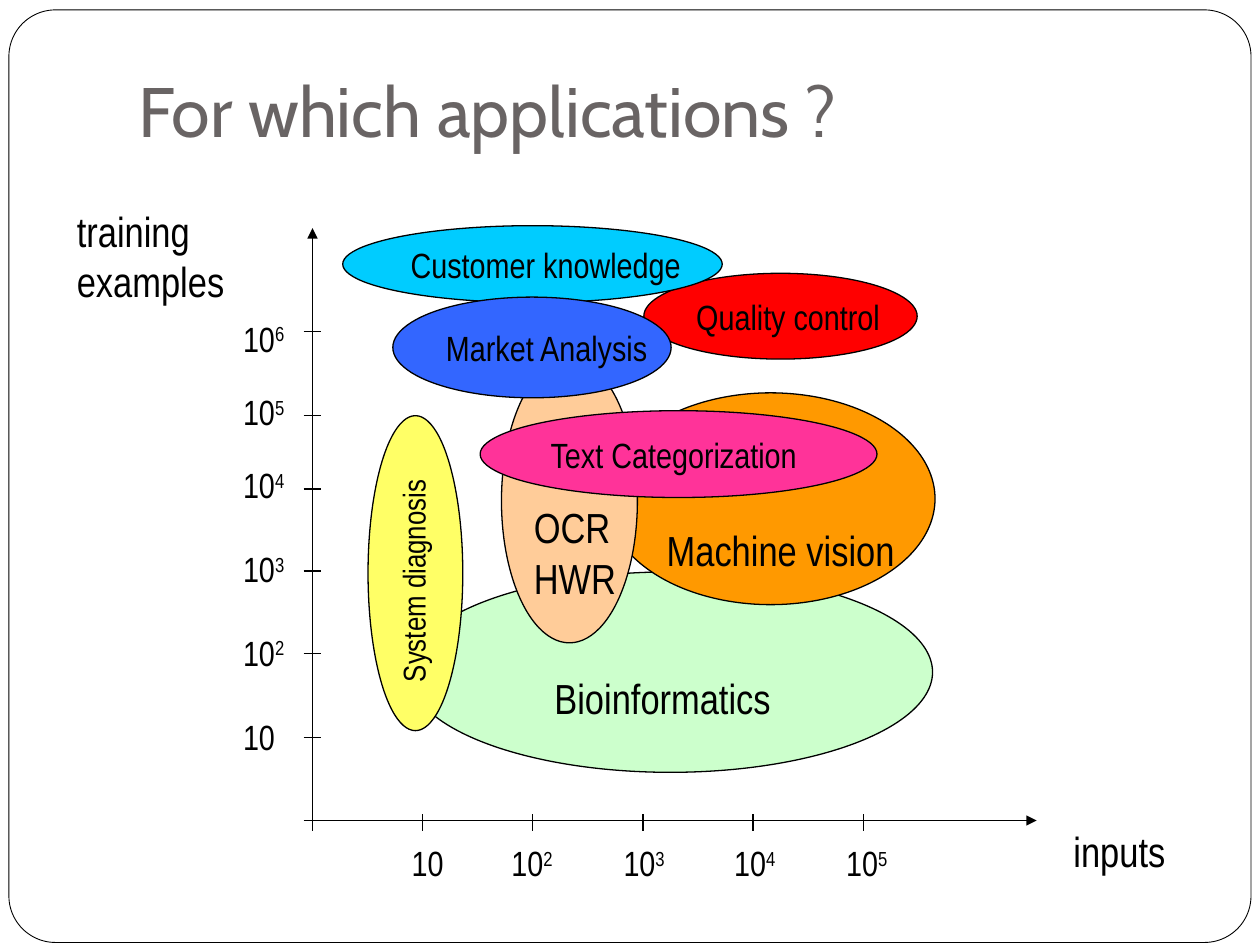
from dataclasses import dataclass

from lxml.etree import SubElement
from pptx import Presentation
from pptx.dml.color import RGBColor
from pptx.enum.shapes import MSO_CONNECTOR as Connector, MSO_SHAPE as Shape
from pptx.enum.text import MSO_ANCHOR as Anchor, PP_ALIGN as Align
from pptx.oxml.ns import qn
from pptx.util import Cm, Pt

COLOURS = {
    "black": "000000",
    "white": "FFFFFF",
    "title": "696464",
    "mint": "CCFFCC",
    "red": "FF0000",
    "orange": "FF9900",
    "cyan": "00CCFF",
    "peach": "FFCC99",
    "blue": "3366FF",
    "pink": "FF3399",
    "yellow": "FFFF66",
}
BODY_FONT = "Arial Narrow"
TITLE_FONT = "Cabin"
ORIGIN_X, ORIGIN_Y = 6.3, 16.54
TICK_STEP_X = 2.22


@dataclass
class Box:
    left: float
    top: float
    width: float
    height: float

    def lengths(self) -> tuple:
        return Cm(self.left), Cm(self.top), Cm(self.width), Cm(self.height)


@dataclass
class Application:
    label: str
    box: Box
    colour: str
    size: int = 20
    shift_right: float = 0
    shift_down: float = 0


@dataclass
class Tick:
    exponent: str
    position: float
    label_start: float


BACK_APPLICATIONS = [
    Application("Bioinformatics", Box(8.23, 11.53, 10.57, 4.04), "mint", 24, 1.15, 1.03),
    Application("Quality control", Box(12.98, 5.51, 5.51, 1.73), "red"),
    Application("Machine vision", Box(12.22, 7.92, 6.63, 4.27), "orange", 24, 0, 2.06),
    Application("Customer knowledge", Box(6.91, 4.55, 7.65, 1.55), "cyan"),
]
FRONT_APPLICATIONS = [
    Application("OCR\nHWR", Box(10.11, 7.24, 2.74, 5.72), "peach", 24, 0, 2.06),
    Application("Market Analysis", Box(7.92, 5.99, 5.61, 2.03), "blue"),
    Application("Text Categorization", Box(9.68, 8.28, 8, 1.75), "pink"),
    Application("", Box(7.42, 8.38, 1.91, 6.35), "yellow"),
]
INPUT_TICKS = [
    Tick(exponent, ORIGIN_X + TICK_STEP_X * number, start)
    for number, (exponent, start) in enumerate(
        [("", 8.05), ("2", 10.06), ("3", 12.32), ("4", 14.55), ("5", 16.81)], 1
    )
]
EXAMPLE_TICKS = [
    Tick("", 14.86, 14.3),
    Tick("2", 13.18, 12.6),
    Tick("3", 11.51, 10.92),
    Tick("4", 9.86, 9.22),
    Tick("5", 8.38, 7.75),
    Tick("6", 6.68, 6.27),
]


def rgb(name: str) -> RGBColor:
    return RGBColor.from_string(COLOURS[name])


def format_text(text_frame, size: int, font: str = BODY_FONT, colour: str = "black") -> None:
    for paragraph in text_frame.paragraphs:
        paragraph.alignment = Align.LEFT
        for run in paragraph.runs:
            run.font.name = font
            run.font.size = Pt(size)
            run.font.color.rgb = rgb(colour)


def add_filled_shape(slide, kind: Shape, box: Box, colour: str, line_width: float = 0.75):
    shape = slide.shapes.add_shape(kind, *box.lengths())
    shape.shadow.inherit = False
    shape.fill.solid()
    shape.fill.fore_color.rgb = rgb(colour)
    if line_width:
        shape.line.color.rgb = rgb("black")
        shape.line.width = Pt(line_width)
    else:
        shape.line.fill.background()
    return shape


def add_application(slide, application: Application) -> None:
    shape = add_filled_shape(slide, Shape.OVAL, application.box, application.colour)
    if application.label:
        text_frame = shape.text_frame
        text_frame.word_wrap = False
        text_frame.vertical_anchor = Anchor.MIDDLE
        text_frame.margin_left = Cm(0.25 + application.shift_right)
        text_frame.margin_top = Cm(0.13 + application.shift_down)
        text_frame.text = application.label
        format_text(text_frame, application.size)


def add_label(slide, text: str, box: Box, size: int):
    text_frame = slide.shapes.add_textbox(*box.lengths()).text_frame
    text_frame.word_wrap = True
    text_frame.text = text
    format_text(text_frame, size)
    return text_frame


def add_power_label(slide, exponent: str, left: float, top: float) -> None:
    text_frame = add_label(slide, "10", Box(left, top, 1.8, 1.12), 20)
    if exponent:
        run = text_frame.paragraphs[0].add_run()
        run.text = exponent
        format_text(text_frame, 20)
        run._r.get_or_add_rPr().set("baseline", "30000")


def add_line(slide, start: tuple, end: tuple, arrow: bool = False) -> None:
    connector = slide.shapes.add_connector(
        Connector.STRAIGHT, *(Cm(value) for value in (*start, *end))
    )
    connector.line.color.rgb = rgb("black")
    connector.line.width = Pt(0.75)
    if arrow:
        SubElement(connector.line._get_or_add_ln(), qn("a:tailEnd"), type="triangle")
    SubElement(connector._element.spPr, qn("a:effectLst"))


def add_axes(slide) -> None:
    origin = (ORIGIN_X, ORIGIN_Y)
    add_line(slide, origin, (ORIGIN_X, 4.6), arrow=True)
    add_line(slide, origin, (20.9, ORIGIN_Y), arrow=True)
    for x in [ORIGIN_X] + [tick.position for tick in INPUT_TICKS]:
        add_line(slide, (x, ORIGIN_Y - 0.13), (x, ORIGIN_Y + 0.22))
    for y in [ORIGIN_Y] + [tick.position for tick in EXAMPLE_TICKS]:
        add_line(slide, (ORIGIN_X - 0.18, y), (ORIGIN_X + 0.18, y))


def main() -> None:
    presentation = Presentation()
    presentation.slide_width = Cm(25.4)
    presentation.slide_height = Cm(19.05)
    slide = presentation.slides.add_slide(presentation.slide_layouts[6])

    frame = add_filled_shape(
        slide, Shape.ROUNDED_RECTANGLE, Box(0.18, 0.2, 25.04, 18.8), "white", 0.5
    )
    frame.adjustments[0] = 0.05

    for application in BACK_APPLICATIONS:
        add_application(slide, application)

    title = add_label(slide, "For which applications ?", Box(2.54, 0.84, 21.59, 2.46), 40)
    title.vertical_anchor = Anchor.BOTTOM
    title.margin_bottom = Cm(0.25)
    format_text(title, 40, TITLE_FONT, "title")

    add_axes(slide)
    add_label(slide, "inputs", Box(21.39, 16.51, 3.18, 1.27), 24)
    add_label(slide, "training examples", Box(1.3, 4.01, 3.81, 2.29), 24)

    for application in FRONT_APPLICATIONS:
        add_application(slide, application)

    diagnosis = add_filled_shape(
        slide, Shape.RECTANGLE, Box(5.84, 11, 4.98, 1.02), "yellow", 0
    )
    diagnosis.rotation = 270
    diagnosis.text_frame.word_wrap = True
    diagnosis.text_frame.vertical_anchor = Anchor.TOP
    diagnosis.text_frame.text = "System diagnosis"
    format_text(diagnosis.text_frame, 18)

    for tick in INPUT_TICKS:
        add_power_label(slide, tick.exponent, tick.label_start, 16.84)
    for tick in EXAMPLE_TICKS:
        add_power_label(slide, tick.exponent, 4.65, tick.label_start)

    presentation.save("out.pptx")


if __name__ == "__main__":
    main()
